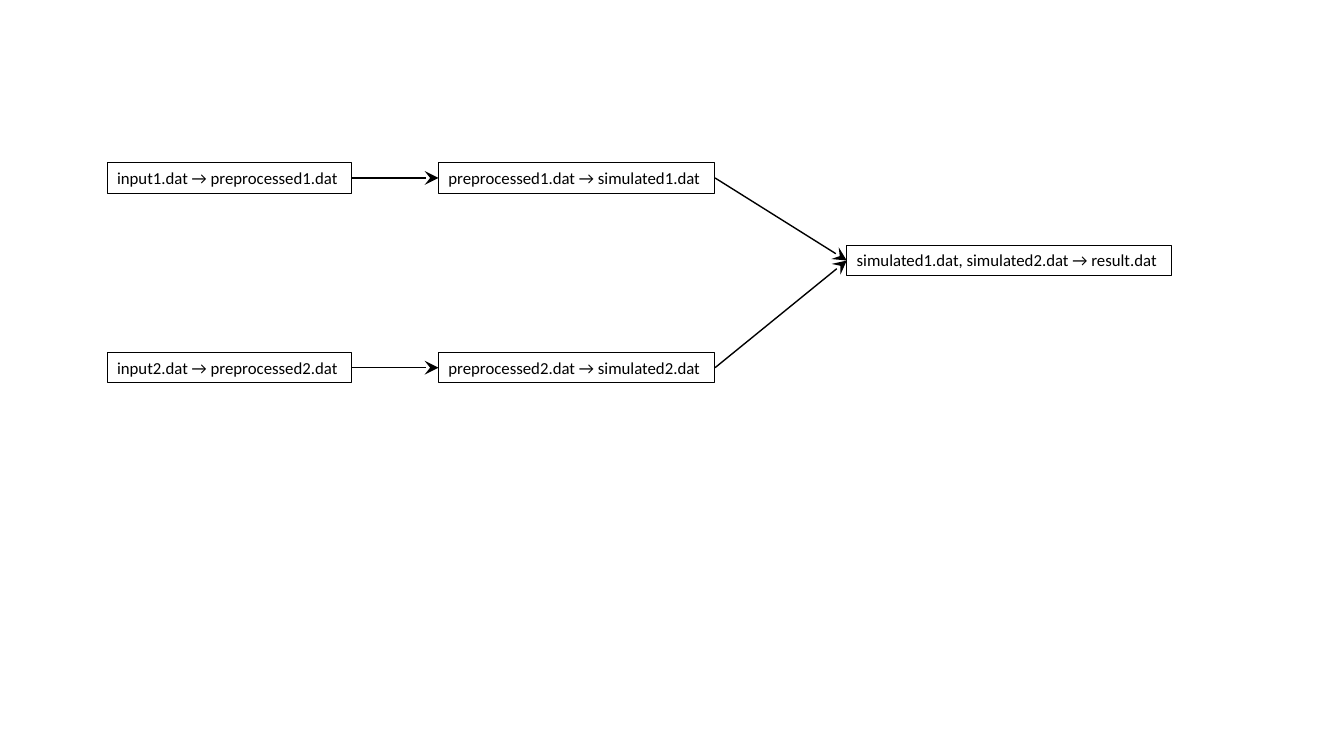
from lxml import etree
from pptx import Presentation
from pptx.dml.color import RGBColor
from pptx.enum.shapes import MSO_CONNECTOR
from pptx.enum.text import MSO_AUTO_SIZE
from pptx.oxml.ns import qn
from pptx.util import Cm, Pt

STRAIGHT = MSO_CONNECTOR.STRAIGHT
FIT_SHAPE = MSO_AUTO_SIZE.SHAPE_TO_FIT_TEXT
BLACK = RGBColor(0, 0, 0)
LEFT_SITE, RIGHT_SITE = 1, 3
BOX_HEIGHT = 0.77

prs = Presentation()
prs.slide_width, prs.slide_height = Cm(33.87), Cm(19.05)
s = prs.slides.add_slide(prs.slide_layouts[6])

# Processing steps: key, left, top, width (cm), text
steps = []
for n, top in ((1, 4.1), (2, 8.88)):
    steps.append((f"preprocess{n}", 2.7, top, 6.17,
                  f"input{n}.dat → preprocessed{n}.dat"))
    steps.append((f"simulate{n}", 11.05, top, 6.97,
                  f"preprocessed{n}.dat → simulated{n}.dat"))
steps.append(("combine", 21.34, 6.18, 8.18,
              "simulated1.dat, simulated2.dat → result.dat"))

boxes = {}
for key, left, top, width, text in steps:
    sp = s.shapes.add_textbox(Cm(left), Cm(top), Cm(width), Cm(BOX_HEIGHT))
    sp.line.color.rgb = BLACK
    sp.line.width = Pt(0.75)
    tf = sp.text_frame
    tf.word_wrap = False
    tf.auto_size = FIT_SHAPE
    p = tf.paragraphs[0]
    p.text = text
    p.font.name = "Calibri"
    p.font.size = Pt(12)
    p.font.color.rgb = BLACK
    boxes[key] = sp

# Arrows from each step to the one that uses its result
for source, target in (("preprocess1", "simulate1"), ("preprocess2", "simulate2"),
                       ("simulate1", "combine"), ("simulate2", "combine")):
    a, b = boxes[source], boxes[target]
    arrow = s.shapes.add_connector(STRAIGHT, a.left + a.width, a.top + a.height // 2,
                                   b.left, b.top + b.height // 2)
    arrow.begin_connect(a, RIGHT_SITE)
    arrow.end_connect(b, LEFT_SITE)
    arrow.line.color.rgb = BLACK
    arrow.line.width = Pt(1)
    ln = arrow.line._get_or_add_ln()
    etree.SubElement(ln, qn("a:tailEnd"), type="stealth", w="lg", len="lg")
    etree.SubElement(arrow._element.spPr, qn("a:effectLst"))

prs.save("out.pptx")
